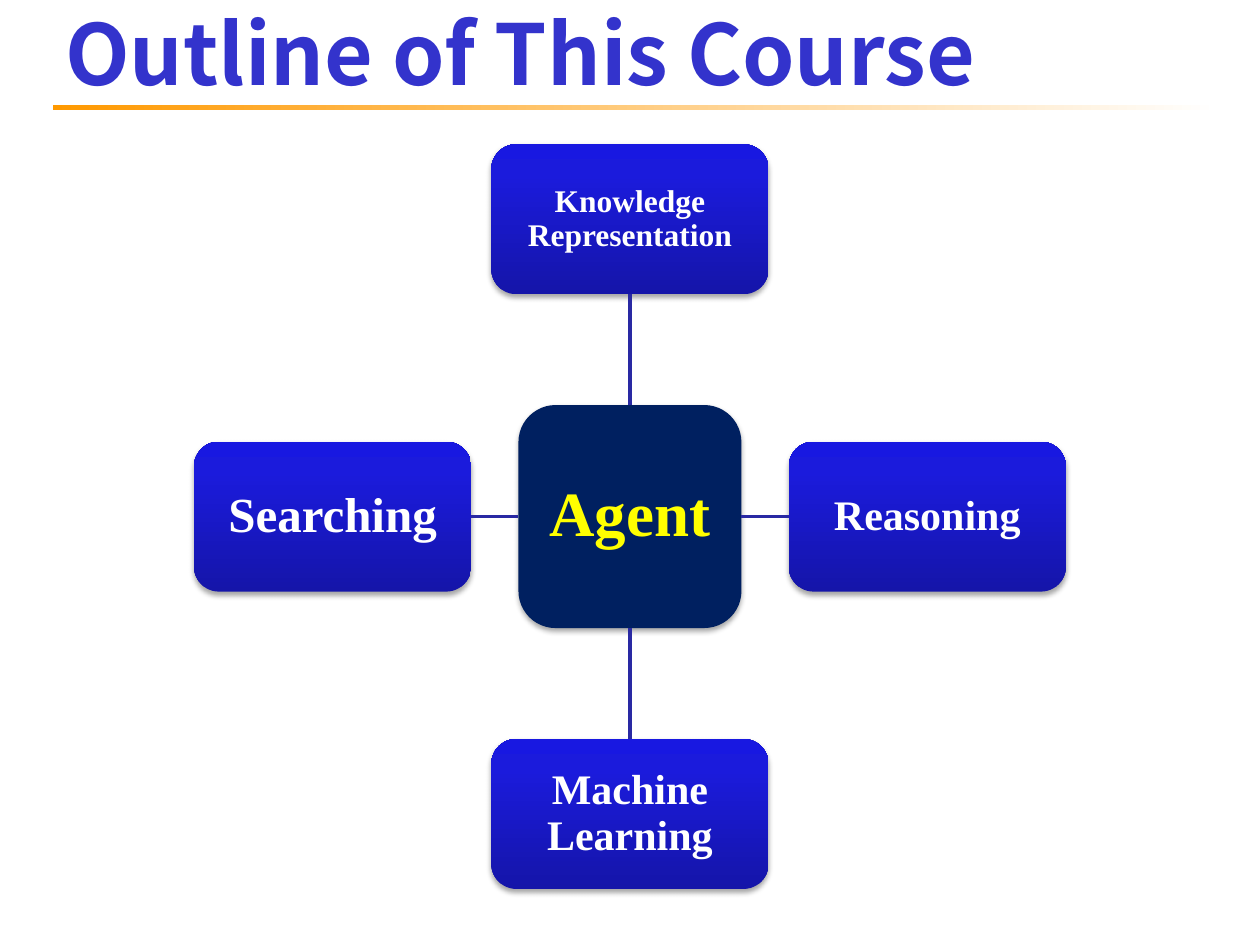
from dataclasses import dataclass

from lxml.etree import SubElement
from pptx import Presentation
from pptx.dml.color import RGBColor
from pptx.enum.shapes import MSO_CONNECTOR as Link, MSO_SHAPE as Form
from pptx.enum.text import MSO_ANCHOR as Anchor, PP_ALIGN as Align
from pptx.oxml.ns import qn
from pptx.util import Inches, Pt

NAVY = RGBColor(0x00, 0x20, 0x60)
BLUE = RGBColor(0x33, 0x33, 0xCC)
LINE = RGBColor(0x29, 0x29, 0xA3)
DARK = RGBColor(0x15, 0x15, 0xA9)
MID = RGBColor(0x1B, 0x1B, 0xDC)
LIGHT = RGBColor(0x18, 0x18, 0xE1)
GOLD = RGBColor(0xFF, 0x99, 0x00)
WHITE = RGBColor(0xFF, 0xFF, 0xFF)
YELLOW = RGBColor(0xFF, 0xFF, 0x00)
BLACK = RGBColor(0x00, 0x00, 0x00)
SERIF = "Times New Roman"
SANS = "Noto Sans CJK SC"
MID_X, MID_Y, REACH = 5, 4.1, 2.36
HUB, WIDE, HIGH = 1.77, 2.2, 1.19


@dataclass
class Topic:
    text: str
    size: int
    inset: float
    dx: int
    dy: int
    side: int


TOPICS = [
    Topic("Knowledge Representation", 18, 0.05, 0, -1, 0),
    Topic("Reasoning", 24, 0.07, 1, 0, 3),
    Topic("Machine Learning", 24, 0.07, 0, 1, 2),
    Topic("Searching", 28, 0.08, -1, 0, 1),
]


def write(shape, text: str, *, size: int, color: RGBColor, font=SERIF,
          align=Align.CENTER, inset=0.1, tall=0.05, gap=1.0) -> None:
    frame = shape.text_frame
    frame.word_wrap = True
    frame.vertical_anchor = Anchor.MIDDLE
    frame.margin_left = frame.margin_right = Inches(inset)
    frame.margin_top = frame.margin_bottom = Inches(tall)
    para = frame.paragraphs[0]
    para.alignment = align
    para.line_spacing = gap
    run = para.add_run()
    run.text = text
    run.font.name = font
    run.font.size = Pt(size)
    run.font.bold = True
    run.font.color.rgb = color


def blend(shape, stops: list[tuple[int, RGBColor]], angle: int) -> None:
    shape.fill.gradient()
    shape.fill.gradient_angle = angle
    group = shape._element.spPr.find(qn("a:gradFill")).find(qn("a:gsLst"))
    for old in list(group):
        group.remove(old)
    for place, color in stops:
        stop = SubElement(group, qn("a:gs"), pos=str(place * 1000))
        SubElement(stop, qn("a:srgbClr"), val=str(color))


def shade(shape) -> None:
    shape.shadow.inherit = False
    effects = shape._element.spPr.find(qn("a:effectLst"))
    outer = SubElement(effects, qn("a:outerShdw"), blurRad=str(Pt(3.1)),
                       dist=str(Pt(1.8)), dir="5400000", rotWithShape="0")
    tint = SubElement(outer, qn("a:srgbClr"), val=str(BLACK))
    SubElement(tint, qn("a:alpha"), val="35000")


def add_box(slide, x: float, y: float, wide: float, high: float):
    box = slide.shapes.add_shape(
        Form.ROUNDED_RECTANGLE, Inches(x - wide / 2), Inches(y - high / 2),
        Inches(wide), Inches(high))
    box.line.fill.background()
    shade(box)
    return box


def add_topic(slide, hub, topic: Topic) -> None:
    box = add_box(slide, MID_X + topic.dx * REACH, MID_Y + topic.dy * REACH,
                  WIDE, HIGH)
    blend(box, [(0, DARK), (80, MID), (100, LIGHT)], 90)
    write(box, topic.text, size=topic.size, color=WHITE, inset=topic.inset,
          tall=topic.inset, gap=0.9)
    link = slide.shapes.add_connector(Link.STRAIGHT, 0, 0, 0, 0)
    link.begin_connect(hub, topic.side)
    link.end_connect(box, (topic.side + 2) % 4)
    link.line.color.rgb = LINE
    link.line.width = Pt(2)
    SubElement(link._element.spPr, qn("a:effectLst"))


def add_title(slide) -> None:
    rule = slide.shapes.add_shape(
        Form.RECTANGLE, Inches(0.42), Inches(0.83), Inches(9.25), Inches(0.04))
    rule.shadow.inherit = False
    rule.line.fill.background()
    blend(rule, [(0, GOLD), (100, WHITE)], 0)
    title = slide.shapes.add_textbox(
        Inches(0.42), 0, Inches(9.58), Inches(0.83))
    write(title, "Outline of This Course", size=48, color=BLUE, font=SANS,
          align=Align.LEFT)


def main() -> None:
    deck = Presentation()
    deck.slide_width, deck.slide_height = Inches(10), Inches(7.5)
    slide = deck.slides.add_slide(deck.slide_layouts[6])
    add_title(slide)
    hub = add_box(slide, MID_X, MID_Y, HUB, HUB)
    hub.fill.solid()
    hub.fill.fore_color.rgb = NAVY
    write(hub, "Agent", size=36, color=YELLOW, inset=0.05, tall=0.1, gap=0.9)
    for topic in TOPICS:
        add_topic(slide, hub, topic)
    deck.save("out.pptx")


if __name__ == "__main__":
    main()
